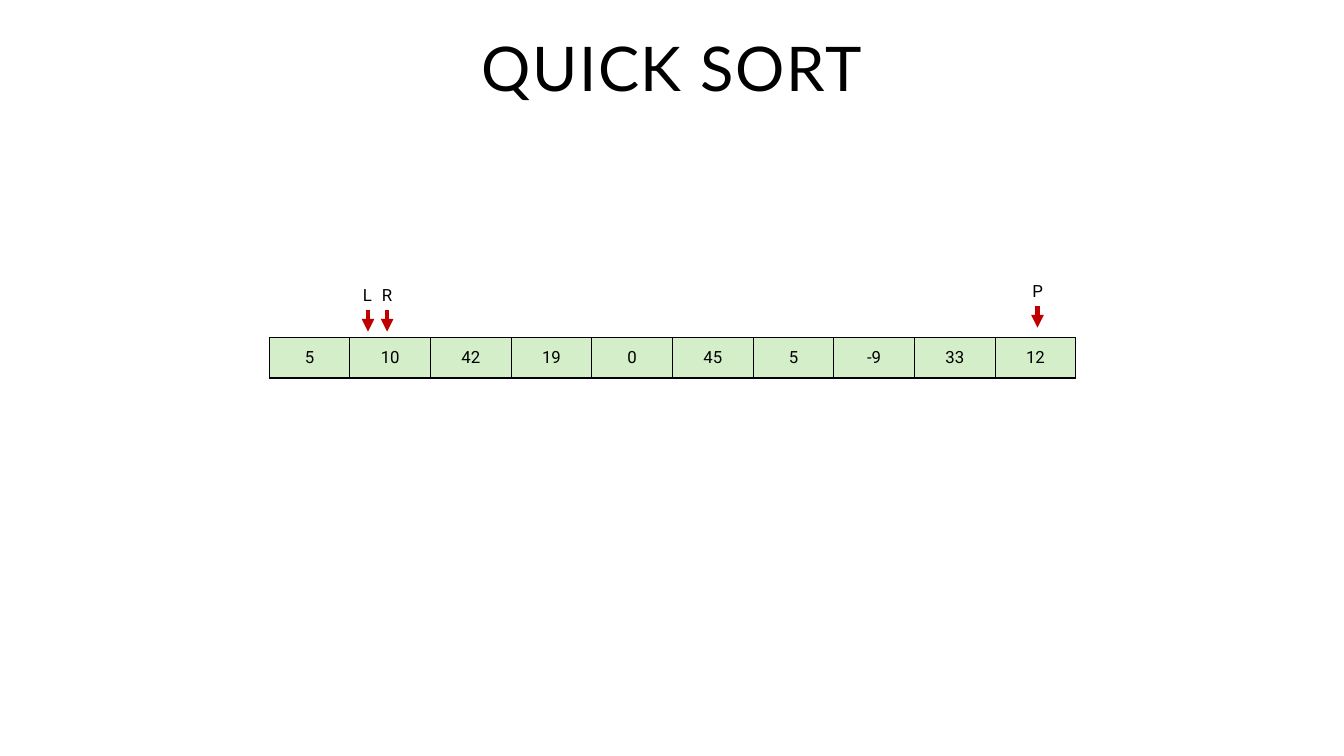
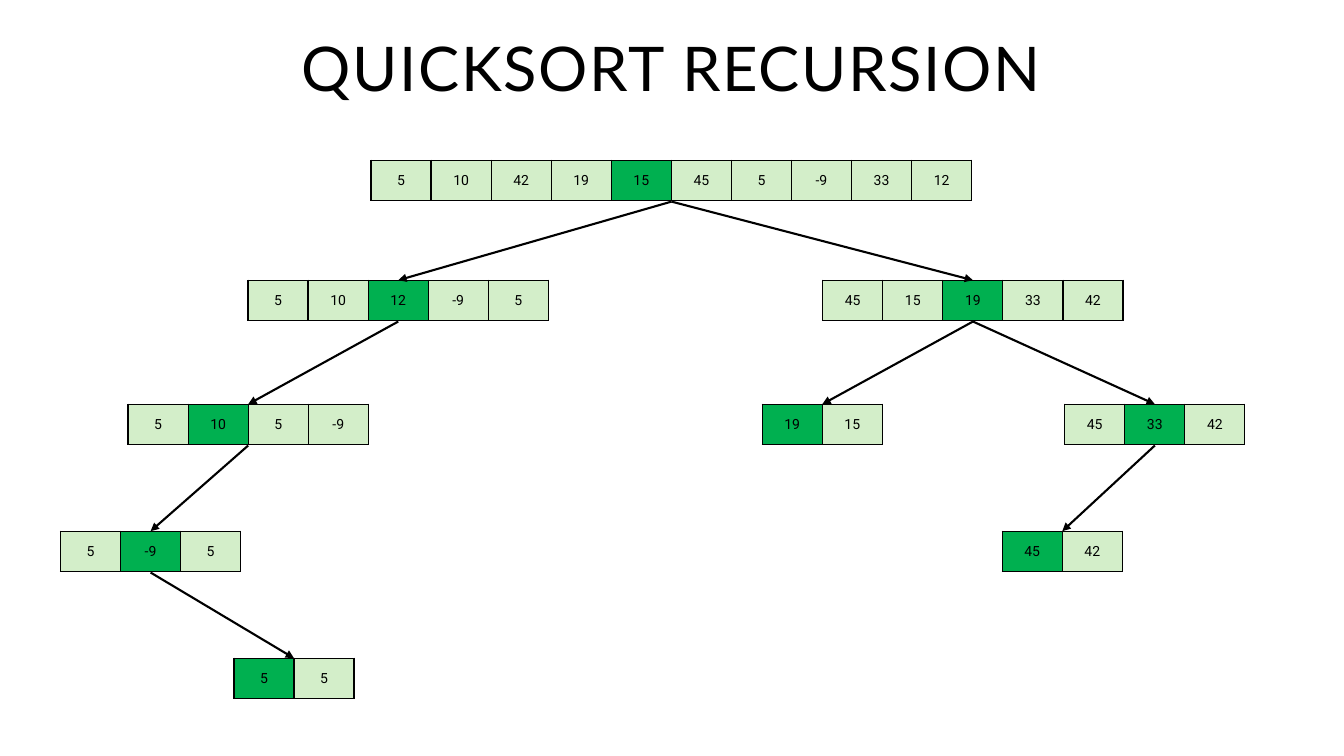
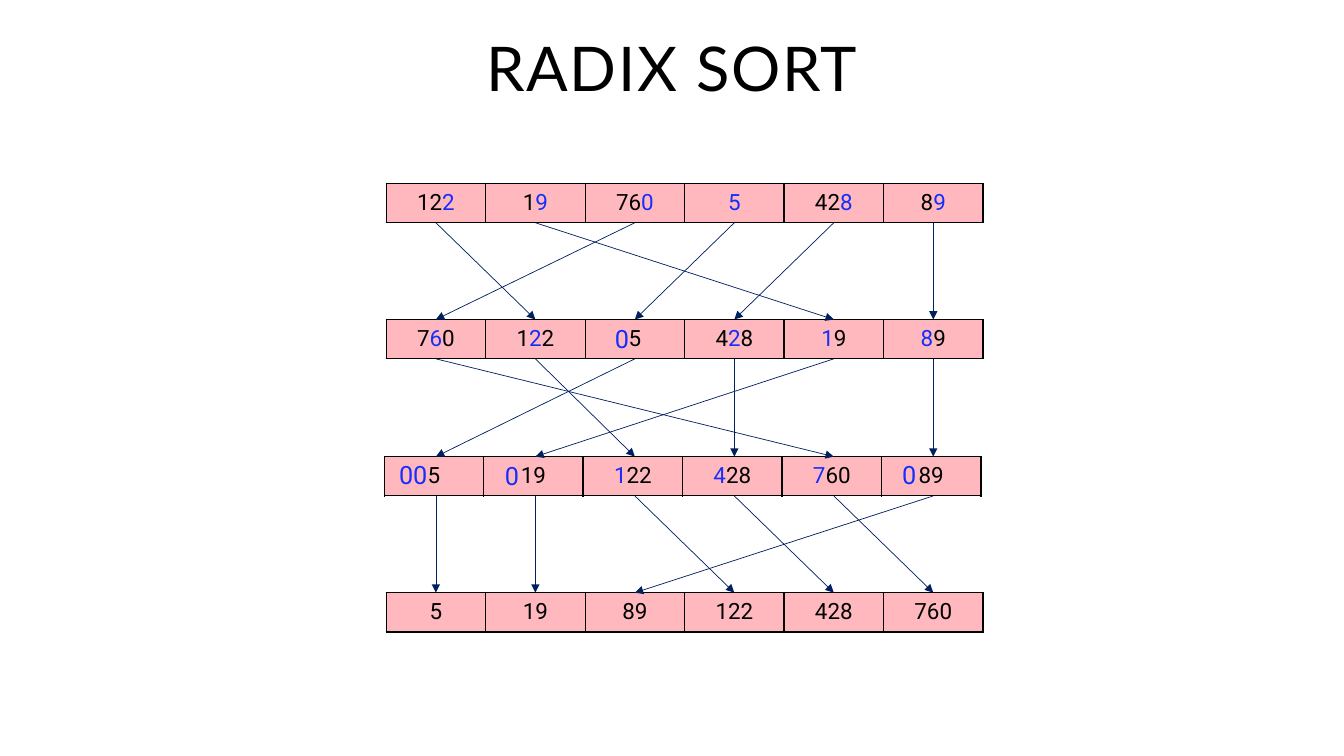
"""Three slides on sorting: quick sort pointers, the recursion tree and radix passes."""
from lxml.etree import SubElement
from pptx import Presentation
from pptx.dml.color import RGBColor as RGB
from pptx.enum.shapes import MSO_CONNECTOR as LINK
from pptx.enum.text import MSO_ANCHOR as ANCHOR, PP_ALIGN as ALIGN
from pptx.oxml.ns import qn
from pptx.util import Inches, Pt

HUES = {"ink": "000000", "pale": "D3EEC9", "pivot": "00B050", "red": "C00000",
        "pink": "FFB9BE", "digit": "152EFC", "navy": "002060"}
FONTS = {
    "title": {"name": "Lato", "size": Pt(44)},
    "mark": {"name": "Roboto", "size": Pt(12)},
    "node": {"name": "Roboto", "size": Pt(10)},
    "radix": {"name": "Roboto", "size": Pt(16)},
    "zero": {"name": "Roboto", "size": Pt(18)},
}

QUICK = [5, 10, 42, 19, 0, 45, 5, -9, 33, 12]
MARKS = [("P", 10.14, 2.74), ("R", 3.69, 2.78), ("L", 3.5, 2.78)]

LEVELS = [1.59, 2.78, 4.01, 5.27, 6.53]
NODE = 5.96 / 10
TREE = {
    "root": (None, 0, 3.68, [5, 10, 42, 19, 15, 45, 5, -9, 33, 12], 4),
    "l": ("root", 1, 2.46, [5, 10, 12, -9, 5], 2),
    "r": ("root", 1, 8.16, [45, 15, 19, 33, 42], 2),
    "ll": ("l", 2, 1.27, [5, 10, 5, -9], 1),
    "rl": ("r", 2, 7.56, [19, 15], 0),
    "rr": ("r", 2, 10.56, [45, 33, 42], 1),
    "lll": ("ll", 3, 0.6, [5, -9, 5], 1),
    "rrl": ("rr", 3, 9.94, [45, 42], 0),
    "lllr": ("lll", 4, 2.32, [5, 5], 0),
}

RADIX = 5.92 / 6
PASSES = [
    (3.83, 1.82, [122, 19, 760, 5, 428, 89]),
    (3.83, 3.17, [760, 122, 5, 428, 19, 89]),
    (3.81, 4.53, [5, 19, 122, 428, 760, 89]),
    (3.83, 5.88, [5, 19, 89, 122, 428, 760]),
]
ZEROS = [(6, 3.16), (3.86, 4.51), (4, 4.51), (4.91, 4.52), (8.85, 4.51)]


def write(para, text, font, hue="ink"):
    """Add a styled run to a paragraph."""
    run = para.add_run()
    run.text = text
    for key, val in FONTS[font].items():
        setattr(run.font, key, val)
    run.font.color.rgb = RGB.from_string(HUES[hue])
    return run


def start(deck, text):
    """Add a slide with its title."""
    slide = deck.slides.add_slide(deck.slide_layouts[5])
    frame = slide.shapes.title.text_frame
    frame.vertical_anchor = ANCHOR.MIDDLE
    para = frame.paragraphs[0]
    para.alignment, para.line_spacing = ALIGN.CENTER, 0.9
    write(para, text, "title")._r.get_or_add_rPr().set("spc", "120")
    return slide


def edge(cell):
    """Draw a thin black border round a cell."""
    props = cell._tc.get_or_add_tcPr()
    for side in ("lnL", "lnR", "lnT", "lnB"):
        line = SubElement(props, qn(f"a:{side}"), w=str(Pt(1)))
        fill = SubElement(line, qn("a:solidFill"))
        SubElement(fill, qn("a:srgbClr"), val=HUES["ink"])


def strip(slide, left, top, wide, high, font, cells):
    """Draw a one-row table; each cell is a fill and a list of text runs."""
    table = slide.shapes.add_table(1, len(cells), Inches(left), Inches(top),
                                   Inches(wide * len(cells)), Inches(high)).table
    table.first_row = table.horz_banding = False
    for col, (fill, runs) in enumerate(cells):
        table.columns[col].width = Inches(wide)
        cell = table.cell(0, col)
        edge(cell)
        cell.fill.solid()
        cell.fill.fore_color.rgb = RGB.from_string(HUES[fill])
        cell.vertical_anchor = ANCHOR.MIDDLE
        para = cell.text_frame.paragraphs[0]
        para.alignment = ALIGN.CENTER
        for text, hue in runs:
            write(para, text, font, hue)


def arrow(slide, tail, head, hue, width):
    """Draw a straight arrow between two points."""
    ends = [Inches(n) for n in (*tail, *head)]
    link = slide.shapes.add_connector(LINK.STRAIGHT, *ends)
    link.line.color.rgb = RGB.from_string(HUES[hue])
    link.line.width = Pt(width)
    SubElement(link.line._get_or_add_ln(), qn("a:tailEnd"), type="triangle")
    SubElement(link._element.spPr, qn("a:effectLst"))


def label(slide, text, left, top, wide, high, font, hue="ink"):
    """Place a short unwrapped label."""
    box = slide.shapes.add_textbox(*map(Inches, (left, top, wide, high)))
    box.text_frame.word_wrap = False
    write(box.text_frame.paragraphs[0], text, font, hue)


def quick(deck):
    """Show the array with its left, right and pivot pointers."""
    slide = start(deck, "QUICK SORT")
    strip(slide, 2.67, 3.35, 0.8, 0.4, "mark",
          [("pale", [(str(num), "ink")]) for num in QUICK])
    for text, left, top in MARKS:
        mid = left + 0.15
        arrow(slide, (mid, top + 0.3), (mid, top + 0.51), "red", 3)
        label(slide, text, left, top, 0.3, 0.3, "mark")


def tree(deck):
    """Show the recursion tree with each pivot filled."""
    slide = start(deck, "QUICKSORT RECURSION")
    mids = {}
    for name, (up, level, left, nums, pivot) in TREE.items():
        top = LEVELS[level]
        strip(slide, left, top, NODE, 0.4, "node",
              [("pivot" if col == pivot else "pale", [(str(num), "ink")])
               for col, num in enumerate(nums)])
        mids[name] = (left + NODE * len(nums) / 2, top)
        if up:
            mid, base = mids[up]
            arrow(slide, (mid, base + 0.41), mids[name], "ink", 1.5)


def digits(num, place):
    """Split a number into runs, with the digit at this place coloured."""
    text = str(num)
    spot = len(text) - place
    if spot < 0 or place > 3:
        return [(text, "ink")]
    runs = [(text[:spot], "ink"), (text[spot], "digit"), (text[spot + 1:], "ink")]
    return [run for run in runs if run[0]]


def radix(deck):
    """Show each radix pass and where every number moves."""
    slide = start(deck, "RADIX SORT")
    for place, (left, top, nums) in enumerate(PASSES, 1):
        strip(slide, left, top, RADIX, 0.39, "radix",
              [("pink", digits(num, place)) for num in nums])
    mids = [3.83 + RADIX * (col + 0.5) for col in range(6)]
    for (_, top, nums), (_, base, after) in zip(PASSES, PASSES[1:]):
        for col, num in enumerate(nums):
            arrow(slide, (mids[col], top + 0.39), (mids[after.index(num)], base),
                  "navy", 0.5)
    for left, top in ZEROS:
        label(slide, "0", left, top, 0.35, 0.4, "zero", "digit")


def main():
    """Build and save the deck."""
    deck = Presentation()
    deck.slide_width, deck.slide_height = Inches(13.33), Inches(7.5)
    title = deck.slide_layouts[5].placeholders[0]
    place = {"left": 1.05, "top": 0.35, "width": 11.23, "height": 0.72}
    for key, val in place.items():
        setattr(title, key, Inches(val))
    for build in (quick, tree, radix):
        build(deck)
    deck.save("out.pptx")


if __name__ == "__main__":
    main()
